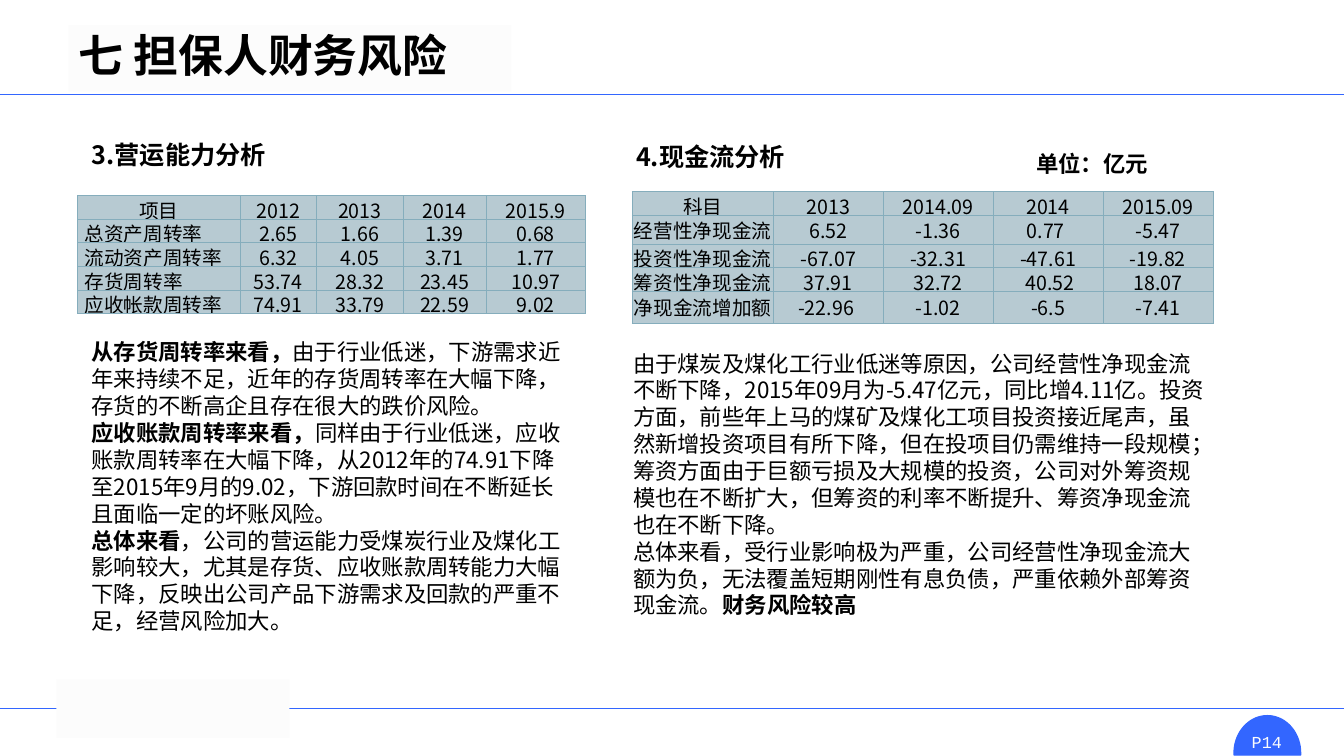
import math
from dataclasses import dataclass

from lxml import etree
from pptx import Presentation
from pptx.dml.color import RGBColor
from pptx.enum.shapes import MSO_CONNECTOR, MSO_SHAPE
from pptx.enum.text import MSO_ANCHOR, MSO_AUTO_SIZE, PP_ALIGN
from pptx.oxml.ns import qn
from pptx.util import Inches, Pt

STRAIGHT = MSO_CONNECTOR.STRAIGHT
RECTANGLE = MSO_SHAPE.RECTANGLE
TOP, MIDDLE = MSO_ANCHOR.TOP, MSO_ANCHOR.MIDDLE
FIT_SHAPE, NO_FIT = MSO_AUTO_SIZE.SHAPE_TO_FIT_TEXT, MSO_AUTO_SIZE.NONE
LEFT, CENTER, JUSTIFY = PP_ALIGN.LEFT, PP_ALIGN.CENTER, PP_ALIGN.JUSTIFY

COLORS = {"accent": "3366FF", "panel": "FCFCFC", "text": "000000",
          "cell": "B7CAD2", "border": "85ADBC"}
FONT, PAGE_FONT = "Noto Sans CJK SC", "Courier New"
SLIDE_WIDTH, SLIDE_HEIGHT = 13.33, 7.5


@dataclass
class Run:
    text: str
    bold: bool = False


@dataclass
class TextBlock:
    left: float
    top: float
    width: float
    height: float
    paragraphs: list[list[Run]]
    size: int = 16
    color: str = "text"
    font: str = FONT
    align: PP_ALIGN = LEFT
    line_spacing: float | None = None


@dataclass
class DataTable:
    left: float
    top: float
    columns: list[float]
    row_heights: list[float]
    rows: list[list[str]]
    anchor: MSO_ANCHOR
    label_align: PP_ALIGN
    label_margin: float
    space_before: int = 0


def rgb(name: str) -> RGBColor:
    return RGBColor.from_string(COLORS[name])


def add_run(paragraph, run: Run, size: int, color: str = "text", font: str = FONT) -> None:
    text_run = paragraph.add_run()
    text_run.text = run.text
    text_run.font.size = Pt(size)
    text_run.font.bold = run.bold
    text_run.font.name = font
    text_run.font.color.rgb = rgb(color)
    east_asian = etree.SubElement(text_run.font._element, qn("a:ea"))
    east_asian.set("typeface", font)


def add_rule(slide, top: float) -> None:
    rule = slide.shapes.add_connector(
        STRAIGHT, Inches(0), Inches(top), Inches(SLIDE_WIDTH), Inches(top))
    rule.line.color.rgb = rgb("accent")
    rule.line.width = Pt(0.5)
    etree.SubElement(rule._element.spPr, qn("a:effectLst"))


def add_text(slide, block: TextBlock) -> None:
    box = slide.shapes.add_textbox(Inches(block.left), Inches(block.top),
                                   Inches(block.width), Inches(block.height))
    frame = box.text_frame
    frame.word_wrap = True
    frame.auto_size = FIT_SHAPE
    for index, runs in enumerate(block.paragraphs):
        paragraph = frame.add_paragraph() if index else frame.paragraphs[0]
        paragraph.alignment = block.align
        paragraph.line_spacing = block.line_spacing
        for run in runs:
            add_run(paragraph, run, block.size, block.color, block.font)


def set_borders(cell) -> None:
    properties = cell._tc.get_or_add_tcPr()
    for index, side in enumerate(("lnL", "lnR", "lnT", "lnB")):
        line = etree.Element(qn(f"a:{side}"), w=str(Pt(0.5)))
        fill = etree.SubElement(line, qn("a:solidFill"))
        etree.SubElement(fill, qn("a:srgbClr"), val=COLORS["border"])
        properties.insert(index, line)


def add_data_table(slide, data: DataTable) -> None:
    table = slide.shapes.add_table(
        len(data.rows), len(data.columns), Inches(data.left), Inches(data.top),
        Inches(sum(data.columns)), Inches(sum(data.row_heights))).table
    for column, width in zip(table.columns, data.columns):
        column.width = Inches(width)
    for row_index, (values, height) in enumerate(zip(data.rows, data.row_heights)):
        table.rows[row_index].height = Inches(height)
        for column_index, value in enumerate(values):
            is_header, is_label = row_index == 0, column_index == 0
            cell = table.cell(row_index, column_index)
            cell.fill.solid()
            cell.fill.fore_color.rgb = rgb("cell")
            set_borders(cell)
            cell.vertical_anchor = data.anchor
            cell.margin_top = cell.margin_bottom = 0
            margin = data.label_margin if is_header or is_label else 0.07
            cell.margin_left = cell.margin_right = Inches(margin)
            paragraph = cell.text_frame.paragraphs[0]
            paragraph.alignment = data.label_align if is_label and not is_header else CENTER
            if data.space_before and not (is_header or is_label):
                paragraph.space_before = Pt(data.space_before)
            add_run(paragraph, Run(value), 14)


TURNOVER = DataTable(
    0.77, 1.94, [1.61, 0.76, 0.86, 0.82, 0.99], [0.16, 0.16, 0.16, 0.15, 0.12],
    [["项目", "2012", "2013", "2014", "2015.9"],
     ["总资产周转率", "2.65", "1.66", "1.39", "0.68"],
     ["流动资产周转率", "6.32", "4.05", "3.71", "1.77"],
     ["存货周转率", "53.74", "28.32", "23.45", "10.97"],
     ["应收帐款周转率", "74.91", "33.79", "22.59", "9.02"]],
    TOP, JUSTIFY, 0.07)
CASH_FLOW = DataTable(
    6.27, 1.9, [1.4] + [1.09] * 4, [0.24, 0.28, 0.23, 0.23, 0.32],
    [["科目", "2013", "2014.09", "2014", "2015.09"],
     ["经营性净现金流", "6.52", "-1.36", "0.77 ", "-5.47"],
     ["投资性净现金流", "-67.07", "-32.31", "-47.61", "-19.82"],
     ["筹资性净现金流", "37.91", "32.72", " 40.52", "18.07"],
     ["净现金流增加额", "-22.96 ", "-1.02", "-6.5", "-7.41"]],
    MIDDLE, CENTER, 0, 6)

TEXTS = [
    TextBlock(0.81, 1.18, 5.08, 0.48, [[Run("3.营运能力分析", True)]], 18, line_spacing=1.5),
    TextBlock(6.21, 1.35, 5.51, 0.4, [[Run("4.现金流分析", True)]], 18),
    TextBlock(10.18, 1.44, 2.18, 0.37, [[Run("单位：亿元", True)]]),
    TextBlock(0.81, 3.31, 4.96, 3.06, [
        [Run("从存货周转率来看，", True),
         Run("由于行业低迷，下游需求近年来持续不足，近年的存货周转率在大幅下降，"
             "存货的不断高企且存在很大的跌价风险。")],
        [Run("应收账款周转率来看，", True),
         Run("同样由于行业低迷，应收账款周转率在大幅下降，从2012年的74.91下降至"
             "2015年9月的9.02，下游回款时间在不断延长且面临一定的坏账风险。")],
        [Run("总体来看", True),
         Run("，公司的营运能力受煤炭行业及煤化工影响较大，尤其是存货、应收账款周转能力"
             "大幅下降，反映出公司产品下游需求及回款的严重不足，经营风险加大。")]]),
    TextBlock(6.18, 3.42, 5.88, 2.79, [
        [Run("由于煤炭及煤化工行业低迷等原因，公司经营性净现金流不断下降，2015年09月为"
             "-5.47亿元，同比增4.11亿。投资方面，前些年上马的煤矿及煤化工项目投资接近尾声，"
             "虽然新增投资项目有所下降，但在投项目仍需维持一段规模；筹资方面由于巨额亏损及"
             "大规模的投资，公司对外筹资规模也在不断扩大，但筹资的利率不断提升、"
             "筹资净现金流也在不断下降。")],
        [Run("总体来看，受行业影响极为严重，公司经营性净现金流大额为负，无法覆盖短期刚性"
             "有息负债，严重依赖外部筹资现金流。"),
         Run("财务风险较高", True)]]),
]
PAGE_NUMBER = TextBlock(11.65, 7.21, 1.83, 0.3, [[Run("P14")]], 12, "panel", PAGE_FONT, CENTER)

presentation = Presentation()
presentation.slide_width = Inches(SLIDE_WIDTH)
presentation.slide_height = Inches(SLIDE_HEIGHT)
slide = presentation.slides.add_slide(presentation.slide_layouts[5])

# Title
title = slide.shapes.title
title.left, title.top, title.width, title.height = map(Inches, (0.68, 0.25, 4.39, 0.66))
title.fill.solid()
title.fill.fore_color.rgb = rgb("panel")
title.text_frame.auto_size = NO_FIT
title.text_frame.vertical_anchor = MIDDLE
title_paragraph = title.text_frame.paragraphs[0]
title_paragraph.alignment = LEFT
title_paragraph.line_spacing = 0.9
add_run(title_paragraph, Run("七 担保人财务风险", True), 32)

# Rules and footer panel
for rule_top in (0.94, 7.03):
    add_rule(slide, rule_top)
footer_panel = slide.shapes.add_shape(
    RECTANGLE, Inches(0.56), Inches(6.74), Inches(2.31), Inches(0.58))
footer_panel.shadow.inherit = False
footer_panel.fill.solid()
footer_panel.fill.fore_color.rgb = rgb("panel")
footer_panel.line.fill.background()

# Page badge: a half ellipse standing on the bottom edge
arc = [(Inches(12.57 - 0.33 * math.cos(math.pi * step / 36)),
        Inches(7.47 - 0.37 * math.sin(math.pi * step / 36))) for step in range(37)]
outline = slide.shapes.build_freeform(Inches(12.24), Inches(7.49))
outline.add_line_segments(arc + [(Inches(12.9), Inches(7.49))], close=True)
badge = outline.convert_to_shape()
badge.shadow.inherit = False
badge.fill.solid()
badge.fill.fore_color.rgb = rgb("accent")
badge.line.color.rgb = rgb("accent")
badge.line.width = Pt(1)
add_text(slide, PAGE_NUMBER)

# Analysis texts and tables
for block in TEXTS:
    add_text(slide, block)
for data_table in (TURNOVER, CASH_FLOW):
    add_data_table(slide, data_table)

presentation.save("out.pptx")
